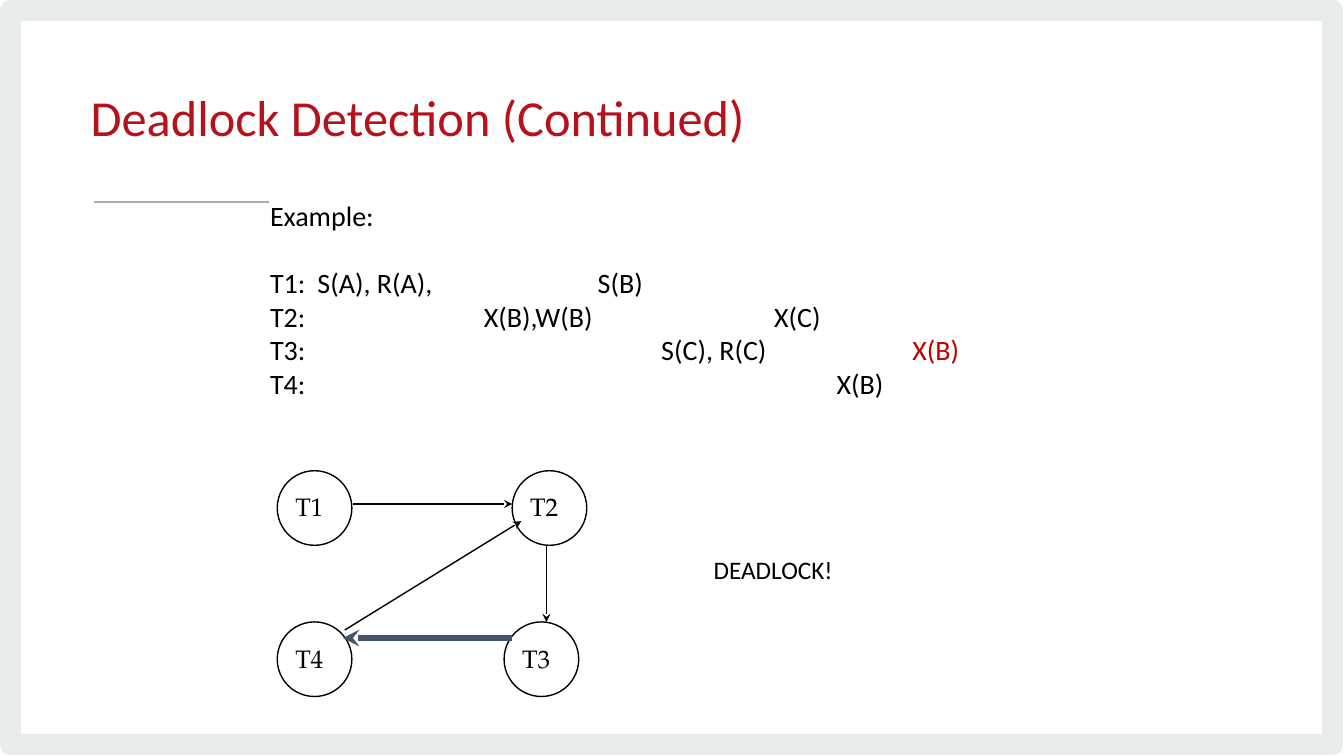
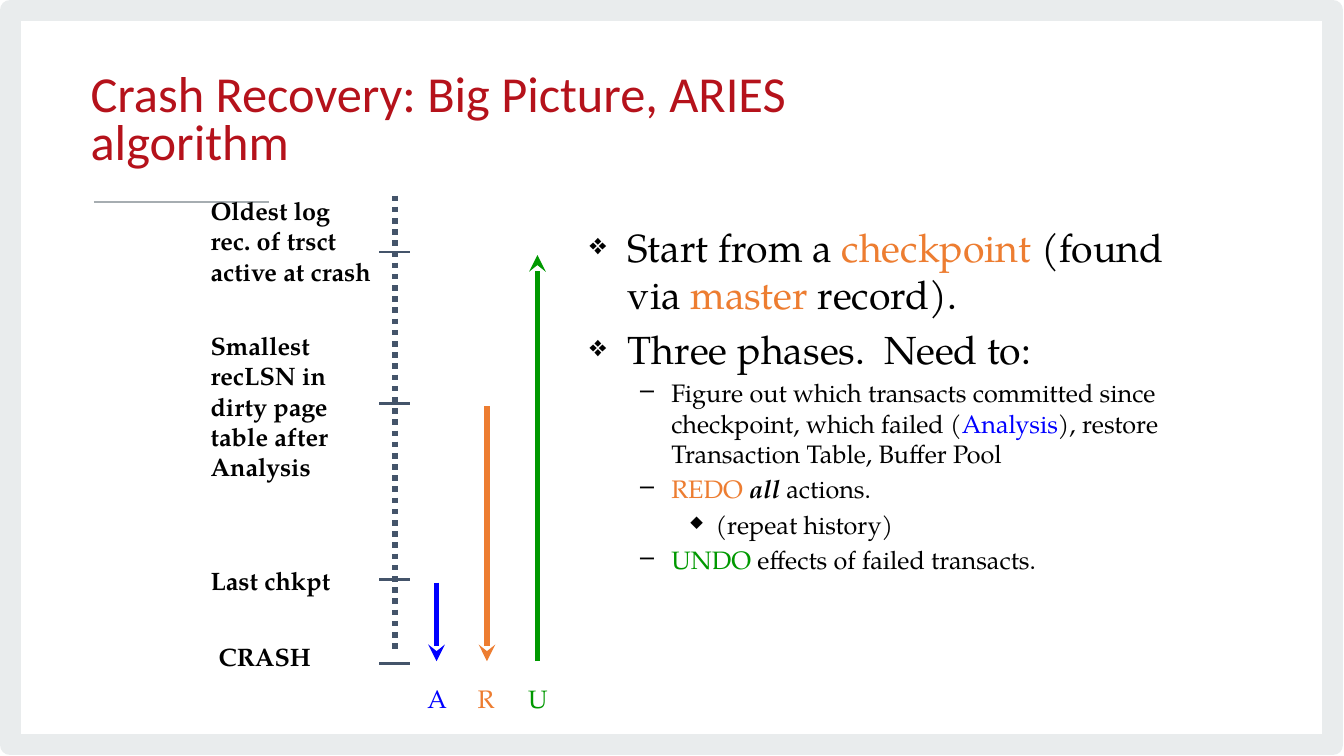
import pptx
import pptx.dml.color
import pptx.enum.dml
import pptx.enum.shapes
import pptx.enum.text
import pptx.oxml
import pptx.oxml.ns
import pptx.util

Inches = pptx.util.Inches
Pt = pptx.util.Pt
RGBColor = pptx.dml.color.RGBColor

BLACK = RGBColor(0x00, 0x00, 0x00)
TITLE_RED = RGBColor(0xB5, 0x12, 0x1B)
ALERT_RED = RGBColor(0xC0, 0x00, 0x00)
FRAME_GRAY = RGBColor(0xE9, 0xEC, 0xED)
RULE_GRAY = RGBColor(0xA6, 0xAD, 0xB1)
SLATE = RGBColor(0x44, 0x54, 0x6A)
BLUE = RGBColor(0x00, 0x00, 0xFF)
ORANGE = RGBColor(0xED, 0x7D, 0x31)
GREEN = RGBColor(0x00, 0x99, 0x00)

SANS = "Calibri"
SERIF = "TeX Gyre Pagella"

BULLETS = [
    {"mark": "❖", "scale": 75, "margin": 0.38, "hanging": 0.38, "size": 28},
    {"mark": "–", "scale": 100, "margin": 0.81, "hanging": 0.31, "size": 18},
    {"mark": "◆", "scale": 65, "margin": 1.25, "hanging": 0.25, "size": 18},
]


def add_element(parent, tag, **attributes):
    element = pptx.oxml.parse_xml(f"<a:{tag} {pptx.oxml.ns.nsdecls('a')}/>")
    for name, value in attributes.items():
        element.set(name, str(value))
    parent.append(element)
    return element


def add_span(para, text, size=18, font=SERIF, color=BLACK, bold=False, italic=False):
    span = para.add_run()
    span.text = text
    span.font.size = Pt(size)
    span.font.name = font
    span.font.color.rgb = color
    span.font.bold = bold
    span.font.italic = italic


def add_box(page, left, top, width, height, wrap=True):
    box = page.shapes.add_textbox(Inches(left), Inches(top), Inches(width), Inches(height))
    box.text_frame.word_wrap = wrap
    if not wrap:
        box.text_frame.auto_size = pptx.enum.text.MSO_AUTO_SIZE.SHAPE_TO_FIT_TEXT
    return box.text_frame


def add_label(page, text, left, top, width, height=0.4, wrap=False, **style):
    frame = add_box(page, left, top, width, height, wrap)
    add_span(frame.paragraphs[0], text, **style)


def next_para(frame, index):
    return frame.add_paragraph() if index else frame.paragraphs[0]


def add_line(page, start, end, color=BLACK, width=1, arrow=False, dash=None):
    points = [Inches(value) for value in (*start, *end)]
    line = page.shapes.add_connector(pptx.enum.shapes.MSO_CONNECTOR.STRAIGHT, *points)
    line.line.color.rgb = color
    line.line.width = Pt(width)
    if dash:
        line.line.dash_style = dash
    if arrow:
        add_element(line.line._get_or_add_ln(), "tailEnd", type="stealth")
    add_element(line._element.spPr, "effectLst")


def add_outline(page, preset, left, top, width, height, color, weight):
    shape = page.shapes.add_shape(
        preset, Inches(left), Inches(top), Inches(width), Inches(height))
    shape.shadow.inherit = False
    shape.fill.background()
    shape.line.color.rgb = color
    shape.line.width = Pt(weight)


def add_page(deck, title):
    page = deck.slides.add_slide(deck.slide_layouts[6])
    add_outline(page, pptx.enum.shapes.MSO_SHAPE.RECTANGLE,
                0.1, 0.1, 13.12, 7.29, FRAME_GRAY, 15.11)
    add_line(page, (0.93, 2), (2.67, 2), RULE_GRAY, 1.33)
    frame = add_box(page, 0.8, 0.58, 8.28, 1.27)
    frame.vertical_anchor = pptx.enum.text.MSO_ANCHOR.MIDDLE
    frame.paragraphs[0].line_spacing = Pt(34.7)
    add_span(frame.paragraphs[0], title, size=36, font=SANS, color=TITLE_RED)
    return page


def add_schedule(page, heading, rows):
    frame = add_box(page, 2.58, 1.92, 8.5, 2.5)
    add_span(frame.paragraphs[0], heading, size=20, font=SANS)
    for index, (name, steps) in enumerate(rows):
        para = frame.add_paragraph()
        if index == 0:
            para.space_before = Pt(24)
        stops = add_element(para._p.get_or_add_pPr(), "tabLst")
        add_span(para, name, size=20, font=SANS)
        for position, step, color in steps:
            add_element(stops, "tab", pos=Inches(position), algn="l")
            add_span(para, "\t" + step, size=20, font=SANS, color=color)


def add_node(page, name, left, top):
    add_outline(page, pptx.enum.shapes.MSO_SHAPE.OVAL, left, top, 0.74, 0.74, BLACK, 1)
    add_label(page, name, left + 0.08, top + 0.16, 0.48)


def add_bullets(page, items):
    frame = add_box(page, 5.75, 2.17, 5.92, 4.46)
    for index, (level, spans) in enumerate(items):
        bullet = BULLETS[level]
        para = next_para(frame, index)
        para.level = level
        properties = para._p.get_or_add_pPr()
        properties.set("marL", str(Inches(bullet["margin"])))
        properties.set("indent", str(-Inches(bullet["hanging"])))
        add_element(add_element(properties, "buClr"), "srgbClr", val=BLACK)
        add_element(properties, "buSzPct", val=bullet["scale"] * 1000)
        add_element(properties, "buChar", char=bullet["mark"])
        if index:
            para.space_before = Pt(bullet["size"] * 0.2)
        for text, style in spans:
            add_span(para, text, size=bullet["size"], **style)


def build_deadlock(deck):
    page = add_page(deck, "Deadlock Detection (Continued)")
    add_schedule(page, "Example:", [
        ("T1:", [(0.47, "S(A), R(A),", BLACK), (3.25, "S(B)", BLACK)]),
        ("T2:", [(2.12, "X(B),W(B)", BLACK), (5, "X(C)", BLACK)]),
        ("T3:", [(3.88, "S(C), R(C)", BLACK), (6.37, "X(B)", ALERT_RED)]),
        ("T4:", [(5.62, "X(B)", BLACK)]),
    ])
    for name, left, top in [("T1", 2.75, 4.67), ("T2", 5.08, 4.67),
                            ("T4", 2.75, 6.17), ("T3", 5, 6.17)]:
        add_node(page, name, left, top)
    for start, end in [((3.5, 5), (5.08, 5)), ((5.42, 5.42), (5.42, 6.17)),
                       ((3.42, 6.25), (5.17, 5.17))]:
        add_line(page, start, end, arrow=True)
    add_line(page, (5.08, 6.33), (3.4, 6.33), SLATE, 4, arrow=True)
    add_label(page, "DEADLOCK!", 6.98, 5.45, 1.4, font=SANS)


def build_recovery(deck):
    page = add_page(deck, "Crash Recovery: Big Picture, ARIES algorithm")
    orange = {"color": ORANGE}
    add_bullets(page, [
        (0, [("Start from a ", {}), ("checkpoint", orange), (" (found via ", {}),
             ("master", orange), (" record).", {})]),
        (0, [("Three phases.  Need to:", {})]),
        (1, [("Figure out which transacts committed since checkpoint, which failed (", {}),
             ("Analysis", {"color": BLUE}),
             ("), restore Transaction Table, Buffer Pool", {})]),
        (1, [("REDO ", orange), ("all", {"bold": True, "italic": True}),
             (" actions.", {})]),
        (2, [("(repeat history)", {})]),
        (1, [("UNDO", {"color": GREEN}), (" effects of failed transacts.", {})]),
    ])

    add_line(page, (3.92, 1.94), (3.92, 6.47), SLATE, 4,
             dash=pptx.enum.dml.MSO_LINE.ROUND_DOT)
    for text, left, top, height, tick in [
        ("Oldest log rec. of trsct active at crash", 1.99, 1.89, 1, 2.5),
        ("Smallest recLSN in dirty page table after Analysis", 1.99, 3.23, 1.61, 4),
        ("Last chkpt", 1.99, 5.56, 0.41, 5.75),
        ("CRASH", 2.07, 6.31, 0.41, 6.58),
    ]:
        add_label(page, text, left, top, 1.84, height, wrap=True, bold=True)
        add_line(page, (3.76, tick), (4.07, tick), SLATE, 2)

    for name, x, start, end, color in [("A", 4.33, 5.78, 6.56, BLUE),
                                       ("R", 4.83, 4.03, 6.56, ORANGE),
                                       ("U", 5.33, 6.56, 2.53, GREEN)]:
        add_line(page, (x, start), (x, end), color, 4, arrow=True)
        add_label(page, name, x - 0.19, 6.73, 0.4, color=color)


def main():
    deck = pptx.Presentation()
    deck.slide_width = Inches(13.33)
    deck.slide_height = Inches(7.5)
    build_deadlock(deck)
    build_recovery(deck)
    deck.save("out.pptx")


if __name__ == "__main__":
    main()
